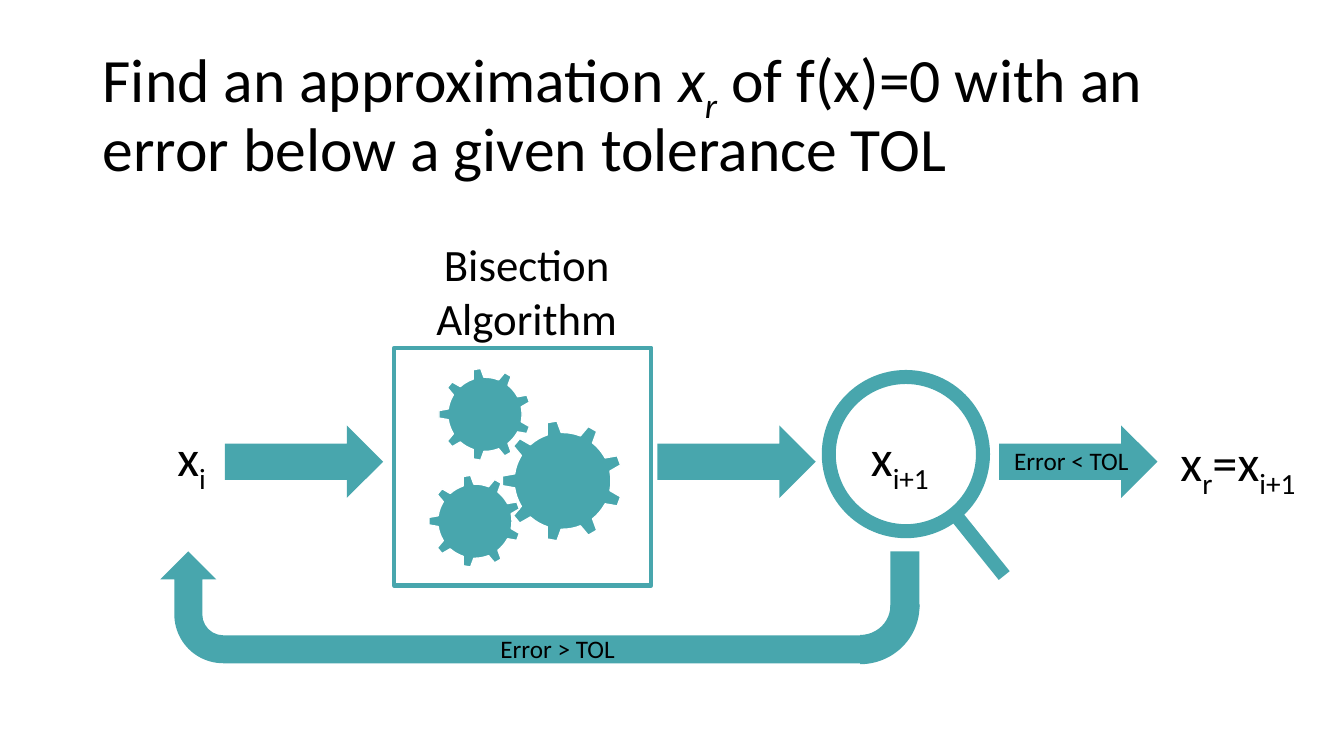
import pptx
import pptx.dml.color
import pptx.enum.shapes
import pptx.enum.text
import pptx.util
from dataclasses import dataclass
from lxml import etree

Inches, Pt = pptx.util.Inches, pptx.util.Pt
SHAPE = pptx.enum.shapes.MSO_SHAPE
ALIGN = pptx.enum.text.PP_ALIGN
ANCHOR = pptx.enum.text.MSO_ANCHOR
FIT = pptx.enum.text.MSO_AUTO_SIZE


@dataclass(frozen=True)
class Theme:
    font: str = "Calibri"
    teal: str = "48A6AD"
    white: str = "FFFFFF"
    ink: str = "000000"
    title: int = 44
    variable: int = 36
    heading: int = 32
    label: int = 18


THEME = Theme()

# Content: runs are (text, style), where style is "", "sub", "italic" or both
TITLE = [("Find an approximation ", ""), ("x", "italic"), ("r", "italic sub"),
         (" of f(x)=0 with an error below a given tolerance TOL", "")]
TITLE_BOX = (0.92, 0.4, 11.5, 1.45)
LABELS = [  # runs, box, size, alignment
    ([("x", ""), ("i", "sub")], (1.66, 4.18, 0.79, 0.71), THEME.variable, ALIGN.LEFT),
    ([("x", ""), ("i+1", "sub")], (8.54, 4.18, 1.37, 0.71), THEME.variable, ALIGN.LEFT),
    ([("x", ""), ("r", "sub"), ("=x", ""), ("i+1", "sub")],
     (11.61, 4.23, 1.56, 1.11), THEME.variable, ALIGN.LEFT),
    ([("Bisection Algorithm", "")], (3.99, 2.3, 2.47, 1.18), THEME.heading, ALIGN.CENTER),
    ([("Error < TOL", "")], (9.96, 4.37, 2.24, 0.4), THEME.label, ALIGN.LEFT),
    ([("Error > TOL", "")], (4.41, 6.23, 2.24, 0.4), THEME.label, ALIGN.CENTER),
]
ARROW_LEFTS = [2.23, 6.52, 9.91]
ARROW_TOP, ARROW_W, ARROW_H = 4.22, 1.57, 0.72
GEARS = [(4.98, 4.17, 1.2), (4.35, 3.65, 0.92), (4.25, 4.71, 0.92)]  # left, top, size
LENS_SIZE = 1.53
LENS_RINGS = [(8.14, 3.71, THEME.white, 15), (8.22, 3.74, THEME.teal, 10)]
HANDLE = (9.47, 5.1, 9.96, 5.71)


def rgb(value):
    return pptx.dml.color.RGBColor.from_string(value)


def set_line(sp, color, width):
    sp.line.color.rgb = rgb(color)
    sp.line.width = Pt(width)


def add_shape(shapes, kind, box, fill=None, line=None, rotation=0):
    sp = shapes.add_shape(kind, *map(Inches, box))
    sp.shadow.inherit = False
    sp.rotation = rotation
    if fill:
        sp.fill.solid()
        sp.fill.fore_color.rgb = rgb(fill)
    else:
        sp.fill.background()
    if line:
        set_line(sp, *line)
    else:
        sp.line.fill.background()
    return sp


def add_text(s, runs, box, size, align, frame=None, spacing=None):
    tf = s.shapes.add_textbox(*map(Inches, box)).text_frame
    settings = {"word_wrap": True, "auto_size": FIT.SHAPE_TO_FIT_TEXT, **(frame or {})}
    for name, value in settings.items():
        setattr(tf, name, value)
    p = tf.paragraphs[0]
    p.alignment = align
    if spacing:
        p.line_spacing = spacing
    for text, style in runs:
        r = p.add_run()
        r.text = text
        for name, value in {"name": THEME.font, "size": Pt(size),
                            "italic": "italic" in style}.items():
            setattr(r.font, name, value)
        r.font.color.rgb = rgb(THEME.ink)
        if "sub" in style:
            r.font._element.set("baseline", "-25000")


def add_magnifier(s):
    shapes = s.shapes.add_group_shape().shapes
    for left, top, color, width in LENS_RINGS:
        add_shape(shapes, SHAPE.OVAL, (left, top, LENS_SIZE, LENS_SIZE), line=(color, width))
    handle = shapes.add_connector(pptx.enum.shapes.MSO_CONNECTOR.STRAIGHT,
                                  *map(Inches, HANDLE))
    set_line(handle, THEME.teal, 10)
    etree.SubElement(handle._element.spPr, pptx.oxml.ns.qn("a:effectLst"))


def add_return_path(s):
    add_shape(s.shapes, SHAPE.RECTANGLE, (8.83, 5.47, 0.29, 0.57), THEME.teal)
    add_shape(s.shapes, SHAPE.BENT_ARROW, (4.51, 2.55, 1.11, 6.95), THEME.teal, rotation=270)
    corner = add_shape(s.shapes, SHAPE.BLOCK_ARC, (7.95, 5.42, 1.16, 1.18),
                       THEME.teal, rotation=90)
    for i, value in enumerate((161.22, 0, 0.25)):
        corner.adjustments[i] = value


def main():
    prs = pptx.Presentation()
    prs.slide_width, prs.slide_height = Inches(13.33), Inches(7.5)
    s = prs.slides.add_slide(prs.slide_layouts[6])

    # Flow: magnifier, algorithm box, forward arrows and return path
    add_magnifier(s)
    add_shape(s.shapes, SHAPE.RECTANGLE, (3.91, 3.45, 2.55, 2.36), line=(THEME.teal, 3))
    for left in ARROW_LEFTS:
        add_shape(s.shapes, SHAPE.RIGHT_ARROW, (left, ARROW_TOP, ARROW_W, ARROW_H), THEME.teal)
    add_return_path(s)

    # Title and labels
    add_text(s, TITLE, TITLE_BOX, THEME.title, ALIGN.LEFT,
             {"auto_size": FIT.NONE, "vertical_anchor": ANCHOR.MIDDLE}, 0.9)
    for label in LABELS:
        add_text(s, *label)

    # Gears inside the algorithm box
    for left, top, size in GEARS:
        add_shape(s.shapes, SHAPE.GEAR_9, (left, top, size, size), THEME.teal,
                  (THEME.white, 1), 270)

    prs.save("out.pptx")


if __name__ == "__main__":
    main()
